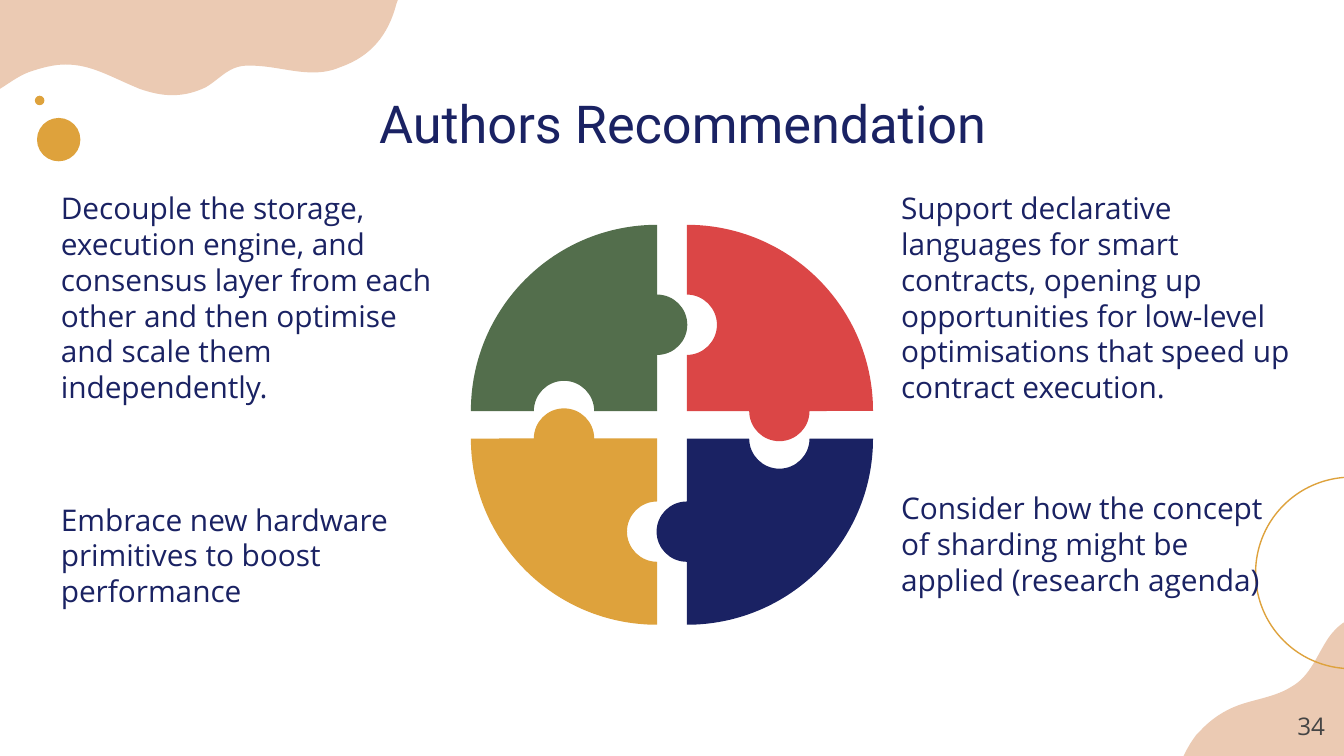
from math import cos, radians, sin

from pptx import Presentation
from pptx.dml.color import RGBColor
from pptx.enum.shapes import MSO_SHAPE
from pptx.enum.text import MSO_ANCHOR, PP_ALIGN
from pptx.oxml.ns import qn
from pptx.util import Cm, Pt

COLORS = {
    "navy": "1A2263",
    "green": "536E4C",
    "red": "DB4646",
    "gold": "DEA23C",
    "peach": "EBCAB3",
    "grey": "444444",
}

TOP_WAVE = [
    (0, 0), (0, 1.68),
    (0.18, 1.57, 0.33, 1.45, 0.53, 1.37),
    (0.81, 1.27, 1.04, 1.22, 1.24, 1.22),
    (1.73, 1.22, 2.08, 1.45, 2.64, 1.68),
    (2.84, 1.75, 3.05, 1.8, 3.25, 1.8),
    (3.48, 1.8, 3.68, 1.75, 3.89, 1.65),
    (4.19, 1.47, 4.32, 1.24, 4.7, 1.24),
    (5.16, 1.24, 5.51, 1.37, 5.92, 1.37),
    (6.07, 1.37, 6.25, 1.35, 6.43, 1.27),
    (7.01, 1.07, 7.34, 0.66, 7.49, 0.08),
    (7.52, 0),
]

CORNER_BLOB = [
    (22.61, 13.89),
    (22.63, 13.87, 22.66, 13.84, 22.68, 13.82),
    (22.89, 13.59, 23.16, 13.41, 23.47, 13.31),
    (23.77, 13.21, 24.13, 13.16, 24.41, 12.98),
    (24.77, 12.78, 24.89, 12.37, 25.12, 12.04),
    (25.25, 11.86, 25.45, 11.68, 25.68, 11.66),
    (26.16, 11.61, 26.34, 12.07, 26.34, 12.47),
    (26.34, 12.95, 26.11, 13.41, 25.88, 13.84),
    (25.65, 14.25, 25.4, 14.58, 25.1, 14.86),
    (24.64, 15.27, 24.08, 15.67, 23.5, 15.82),
    (23.06, 15.95, 22.56, 15.8, 22.33, 15.42),
    (22.05, 14.94, 22.3, 14.3, 22.61, 13.89),
]

LEFT, RIGHT, UPPER, LOWER = 12.42, 12.98, 7.77, 8.29
KNOB_LEFT, KNOB_RIGHT, KNOB_UPPER, KNOB_LOWER = 10.66, 14.73, 6.14, 10.05
WHEEL_RADIUS, KNOB_RADIUS = 3.52, 0.57

PIECES = [
    ("green", (LEFT, UPPER), (LEFT, KNOB_UPPER), (KNOB_LEFT, UPPER)),
    ("navy", (RIGHT, LOWER), (RIGHT, KNOB_LOWER), (KNOB_RIGHT, LOWER)),
    ("red", (RIGHT, UPPER), (KNOB_RIGHT, UPPER), (RIGHT, KNOB_UPPER)),
    ("gold", (LEFT, LOWER), (KNOB_LEFT, LOWER), (LEFT, KNOB_LOWER)),
]
TURNS = {"green": 0, "red": 90, "navy": 180, "gold": 270}

TEXT_LEFT, TEXT_RIGHT = 0.9, 16.78
RECOMMENDATIONS = [
    (TEXT_LEFT, 3.79, "Decouple the storage, execution engine, and consensus layer "
                      "from each other and then optimise and scale them independently."),
    (TEXT_LEFT, 8.66, "Embrace new hardware primitives to boost performance"),
    (TEXT_RIGHT, 3.79, "Support declarative languages for smart contracts, opening up "
                       "opportunities for low-level optimisations that speed up "
                       "contract execution."),
    (TEXT_RIGHT, 8.45, "Consider how the concept of sharding might be applied "
                       "(research agenda)"),
]


def arc(center, radius, start, quarters):
    """Return a start point and one cubic segment per signed quarter turn."""
    sign = 1 if quarters > 0 else -1
    pull = 0.5523 * sign

    def spot(angle, lean):
        """Return the point at an angle, moved along its tangent."""
        a = radians(angle)
        return (center[0] + radius * (cos(a) - lean * sin(a)),
                center[1] + radius * (sin(a) + lean * cos(a)))

    segments = [spot(start, 0)]
    for quarter in range(abs(quarters)):
        first = start + 90 * sign * quarter
        last = first + 90 * sign
        segments.append(spot(first, pull) + spot(last, -pull) + spot(last, 0))
    return segments


class Painter:
    """Draws styled elements on the current page."""

    def __init__(self, page):
        """Keep the page and the body font."""
        self.page = page
        self.font = "Open Sans"

    def finish(self, shape, fill=None, line=None):
        """Apply a flat fill or a thin outline."""
        shape.shadow.inherit = False
        if fill:
            shape.fill.solid()
            shape.fill.fore_color.rgb = RGBColor.from_string(COLORS[fill])
        else:
            shape.fill.background()
        if line:
            shape.line.color.rgb = RGBColor.from_string(COLORS[line])
            shape.line.width = Pt(0.75)
        else:
            shape.line.fill.background()

    def outline(self, segments, fill):
        """Draw a closed outline of straight (x, y) and cubic (six-number) segments."""
        points = [(Cm(segment[i]), Cm(segment[i + 1]))
                  for segment in segments for i in range(0, len(segment), 2)]
        builder = self.page.shapes.build_freeform(*points[0])
        builder.add_line_segments(points[1:], close=True)
        shape = builder.convert_to_shape()
        steps = iter(shape.element.findall(".//" + qn("a:lnTo")))
        for segment in segments[1:]:
            step = next(steps)
            if len(segment) == 6:
                step.tag = qn("a:cubicBezTo")
                for extra in (next(steps), next(steps)):
                    step.append(extra[0])
                    extra.getparent().remove(extra)
        self.finish(shape, fill)

    def circle(self, left, top, size, fill=None, line=None):
        """Draw a circle."""
        shape = self.page.shapes.add_shape(
            MSO_SHAPE.OVAL, Cm(left), Cm(top), Cm(size), Cm(size))
        self.finish(shape, fill, line)

    def text(self, left, top, width, height, words, size=16, color="navy",
             font=None, align=PP_ALIGN.LEFT, anchor=MSO_ANCHOR.MIDDLE):
        """Write one paragraph in a wrapping box."""
        box = self.page.shapes.add_textbox(Cm(left), Cm(top), Cm(width), Cm(height))
        frame = box.text_frame
        frame.word_wrap = True
        frame.vertical_anchor = anchor
        frame.margin_left = frame.margin_right = Cm(0.25)
        frame.margin_top = frame.margin_bottom = Cm(0.25)
        frame.text = words
        para = frame.paragraphs[0]
        para.alignment = align
        for span in para.runs:
            span.font.name = font or self.font
            span.font.size = Pt(size)
            span.font.color.rgb = RGBColor.from_string(COLORS[color])


def main():
    """Build the recommendation slide."""
    deck = Presentation()
    deck.slide_width, deck.slide_height = Cm(25.4), Cm(14.29)
    painter = Painter(deck.slides.add_slide(deck.slide_layouts[6]))

    painter.outline(TOP_WAVE, "peach")
    painter.circle(0.66, 1.81, 0.18, fill="gold")
    painter.outline(CORNER_BLOB, "peach")
    painter.circle(0.7, 2.23, 0.82, fill="gold")
    painter.circle(23.73, 9.02, 3.62, line="gold")

    for color, corner, knob, notch in PIECES:
        turn = TURNS[color]
        rim = arc(corner, WHEEL_RADIUS, 180 + turn, 1)
        bump = arc(knob, KNOB_RADIUS, turn - 90, 2)
        dent = arc(notch, KNOB_RADIUS, turn, -2)
        painter.outline(rim + bump + [corner] + dent, color)

    text_width, text_height = 7.87, 3.66
    first, *others = RECOMMENDATIONS
    painter.text(*first[:2], text_width, text_height, first[2])
    painter.text(2.18, 1.52, 21.44, 1.6, "Authors Recommendation", size=28,
                 font="Roboto", align=PP_ALIGN.CENTER)
    for left, top, words in others:
        painter.text(left, top, text_width, text_height, words)
    painter.text(23.77, 13.19, 1.52, 1.09, "34", size=13, color="grey",
                 align=PP_ALIGN.RIGHT, anchor=MSO_ANCHOR.TOP)

    deck.save("out.pptx")


if __name__ == "__main__":
    main()
